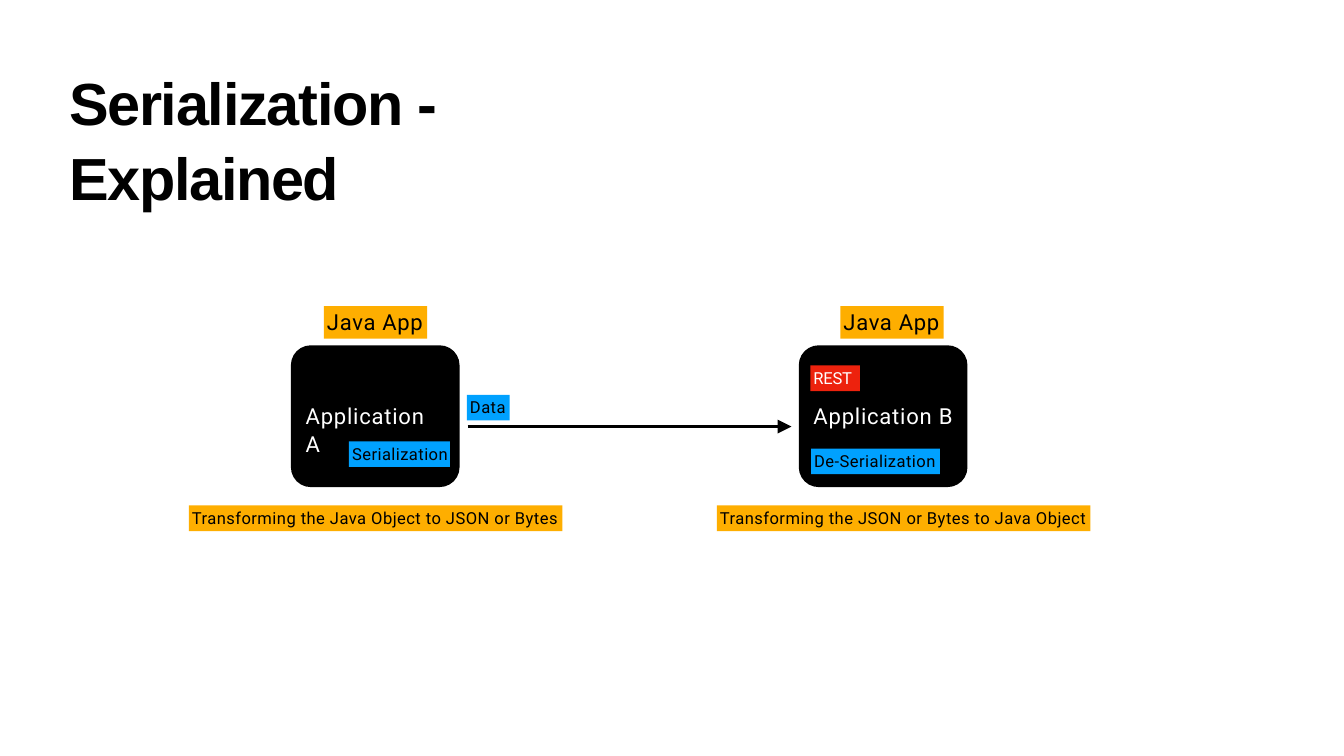
from lxml import etree
from pptx import Presentation
from pptx.dml.color import RGBColor
from pptx.enum.shapes import MSO_CONNECTOR, MSO_SHAPE
from pptx.enum.text import MSO_ANCHOR, PP_ALIGN
from pptx.oxml.ns import qn
from pptx.util import Pt

PX = 9144  # EMU, 100 px to the inch
BLACK = RGBColor(0, 0, 0)
WHITE = RGBColor(255, 255, 255)
RED = RGBColor(0xED, 0x22, 0x0D)
BLUE = RGBColor(0x00, 0xA1, 0xFF)
AMBER = RGBColor(0xFE, 0xAE, 0x00)
ROUND, RECT = MSO_SHAPE.ROUNDED_RECTANGLE, MSO_SHAPE.RECTANGLE
STRAIGHT = MSO_CONNECTOR.STRAIGHT
LEFT, TOP = PP_ALIGN.LEFT, MSO_ANCHOR.TOP
BIG, SMALL = 26, 19.5
APP_W, APP_H = 276, 232


def px(*nums):
    return [round(n * PX) for n in nums]


def write(shape, text, size, color, pad=(0, 2), before=1.4, track=0.5,
          font="Roboto", bold=False, lines=1.0):
    """Fill a shape with one left-aligned paragraph; track is in points."""
    frame = shape.text_frame
    frame.word_wrap = True
    frame.vertical_anchor = TOP
    frame.margin_left, frame.margin_top = px(*pad)
    frame.margin_right = frame.margin_bottom = 0
    para = frame.paragraphs[0]
    para.text = text
    para.alignment = LEFT
    para.space_before = Pt(before)
    para.line_spacing = lines
    run = para.runs[0]
    run.font.name = font
    run.font.size = Pt(size)
    run.font.bold = bold
    run.font.color.rgb = color
    run.font._element.set("spc", str(round(track * 100)))


def block(slide, kind, box, fill):
    shape = slide.shapes.add_shape(kind, *px(*box))
    shape.shadow.inherit = False
    shape.fill.solid()
    shape.fill.fore_color.rgb = fill
    shape.line.fill.background()
    return shape


def label(slide, text, box, fill, size=SMALL, color=BLACK, track=0.5):
    write(block(slide, RECT, box, fill), text, size, color,
          pad=(5, 4), before=2.8, track=track)


def title(slide, box):
    write(slide.shapes.add_textbox(*px(*box)), "Serialization - Explained",
          70, BLACK, pad=(1, 1), before=1.1, track=-1.5,
          font="Arial", bold=True, lines=1.06)


def app(slide, left, top, name, width, tag, note):
    """Draw an application box; tag and note are (text, dx, dy, width)."""
    body = block(slide, ROUND, (left, top, APP_W, APP_H), BLACK)
    body.adjustments[0] = 0.14
    text = slide.shapes.add_textbox(*px(left + 24, top + 90, width, 47))
    write(text, name, BIG, WHITE, track=0.9, lines=1.05)
    for (words, dx, dy, wide), fill in ((tag, BLUE), (note, AMBER)):
        label(slide, words, (left + dx, top + dy, wide, 42), fill)


def flow(slide, left, top, length):
    """Draw the arrow between the applications with its label above."""
    arrow = slide.shapes.add_connector(
        STRAIGHT, *px(left, top, left + length, top))
    arrow.line.color.rgb = BLACK
    arrow.line.width = Pt(3.3)
    line = arrow.line._get_or_add_ln()
    etree.SubElement(line, qn("a:tailEnd"), type="triangle", w="lg", len="lg")
    etree.SubElement(arrow._element.spPr, qn("a:effectLst"))
    label(slide, "Data", (left - 1, top - 52, 70, 42), BLUE)


def main():
    deck = Presentation()
    deck.slide_width, deck.slide_height = px(2199, 1237)
    slide = deck.slides.add_slide(deck.slide_layouts[6])
    title(slide, (112, 100, 1000, 240))
    app(slide, 476, 565, "Application A", 225,
        ("Serialization", 95, 157, 165),
        ("Transforming the Java Object to JSON or Bytes", -167, 262, 611))
    app(slide, 1307, 565, "Application B", 240,
        ("De-Serialization", 20, 169, 211),
        ("Transforming the JSON or Bytes to Java Object", -134, 262, 611))
    for left in (530, 1375):
        label(slide, "Java App", (left, 501, 169, 53), AMBER, BIG, track=0.8)
    label(slide, "REST", (1326, 598, 81, 42), RED, color=WHITE, track=-0.3)
    flow(slide, 765, 698, 530)
    deck.save("out.pptx")


if __name__ == "__main__":
    main()
